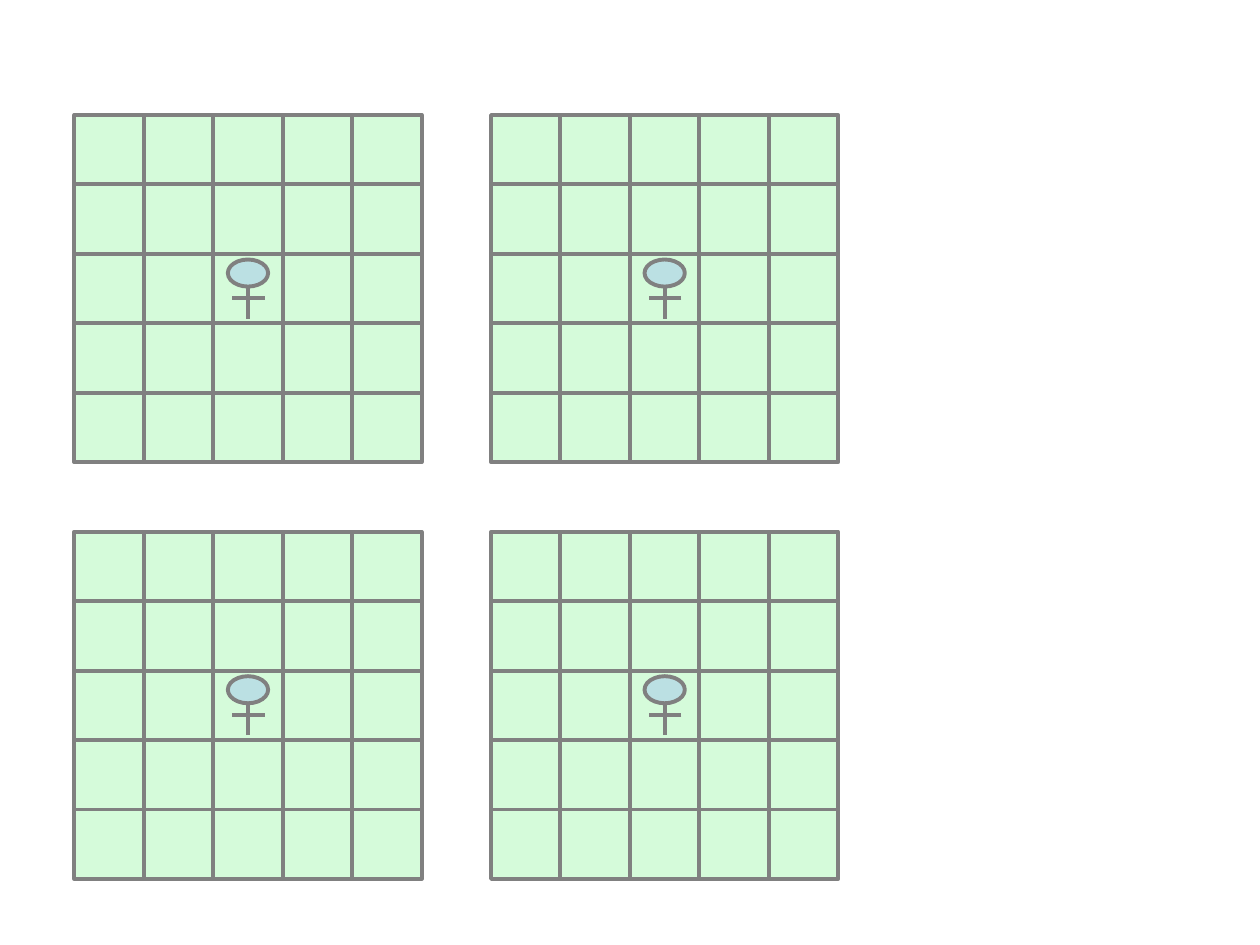
from itertools import product
from lxml.etree import SubElement
from pptx import Presentation
from pptx.dml.color import RGBColor
from pptx.enum.shapes import MSO_CONNECTOR, MSO_SHAPE
from pptx.oxml.ns import qn
from pptx.util import Cm, Inches, Pt

COLORS = {"cell": "D5FBDA", "head": "BBE0E3", "line": "808080"}

# The slide is laid out on square cells; a board and its gap take six of them
CELL = Cm(1.4)
LEFT, TOP = Cm(1.5), Cm(2.32)
SIZE = 5
STEP = SIZE + 1


def col(num):
    return round(LEFT + num * CELL)


def row(num):
    return round(TOP + num * CELL)


def ink(line):
    line.color.rgb = RGBColor.from_string(COLORS["line"])
    line.width = Pt(2.25)


def add_form(group, kind, x, y, wide, high, color):
    form = group.shapes.add_shape(
        kind, col(x), row(y), round(wide * CELL), round(high * CELL))
    form.shadow.inherit = False
    form.fill.solid()
    form.fill.fore_color.rgb = RGBColor.from_string(COLORS[color])
    ink(form.line)


def add_line(group, x1, y1, x2, y2):
    line = group.shapes.add_connector(
        MSO_CONNECTOR.STRAIGHT, col(x1), row(y1), col(x2), row(y2))
    ink(line.line)
    SubElement(line._element.spPr, qn("a:effectLst"))


def add_sign(group, x, y):
    """Draw the female sign inside the cell at column x, row y."""
    add_line(group, x + 0.5, y + 0.93, x + 0.5, y + 0.39)
    add_form(group, MSO_SHAPE.OVAL, x + 0.21, y + 0.08, 0.58, 0.39, "head")
    add_line(group, x + 0.74, y + 0.64, x + 0.27, y + 0.64)


def add_board(slide, x, y):
    """Draw a board of cells with the sign in its middle cell."""
    group = slide.shapes.add_group_shape()
    for down, right in product(range(SIZE), repeat=2):
        add_form(group, MSO_SHAPE.RECTANGLE, x + right, y + down, 1, 1, "cell")
    add_sign(group, x + SIZE // 2, y + SIZE // 2)


def main():
    deck = Presentation()
    deck.slide_width, deck.slide_height = Inches(10), Inches(7.5)
    slide = deck.slides.add_slide(deck.slide_layouts[6])

    # Two by two boards, the lower one of each column first
    for x, y in product((0, STEP), (STEP, 0)):
        add_board(slide, x, y)

    deck.save("out.pptx")


if __name__ == "__main__":
    main()
